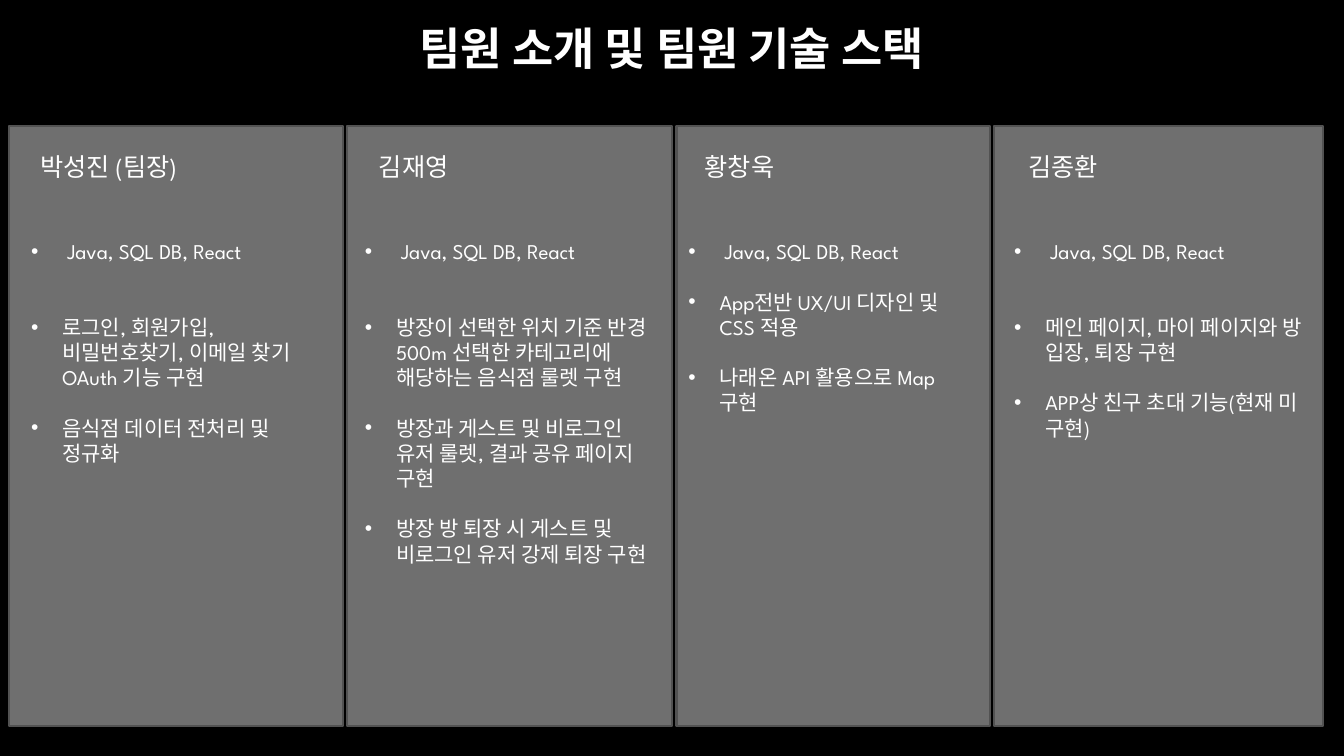
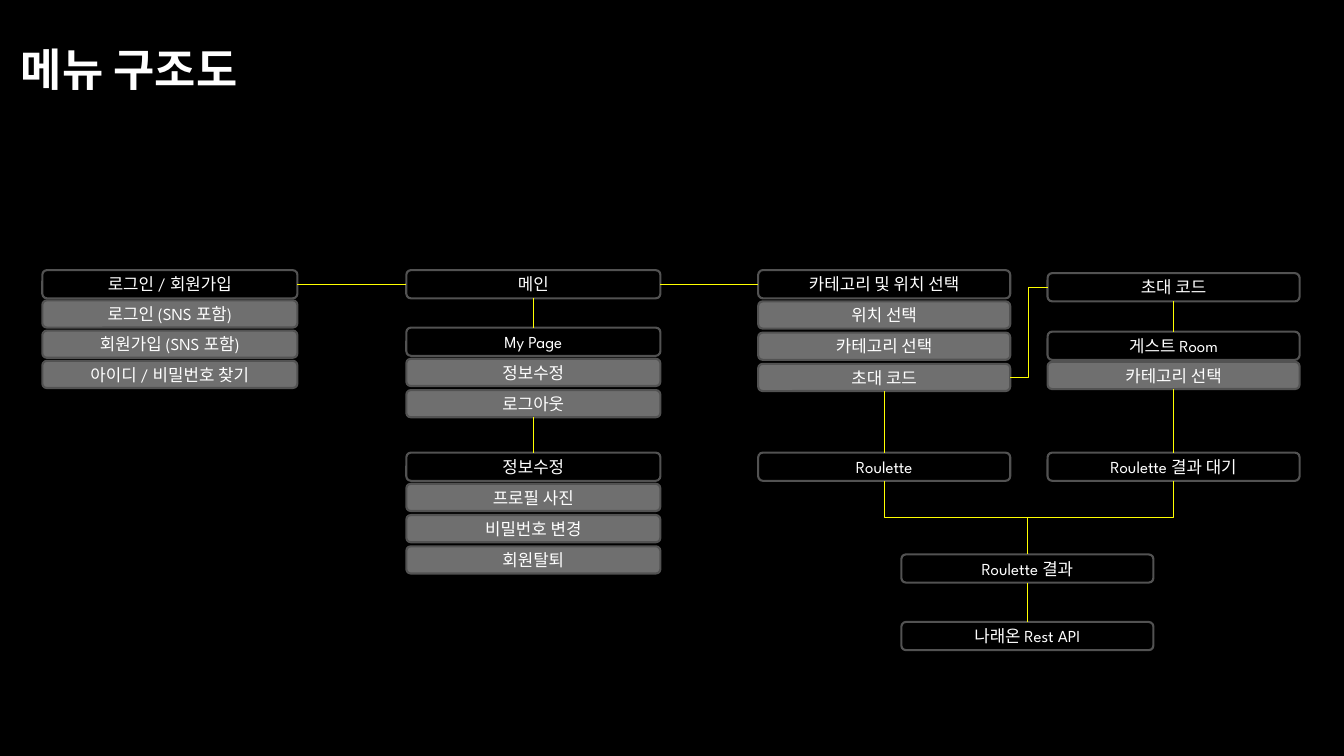
from dataclasses import dataclass

from pptx import Presentation
from pptx import util as u
from pptx.dml.color import RGBColor
from pptx.enum import shapes, text
from pptx.oxml import xmlchemy
from lxml import etree

Inches, Pt = u.Inches, u.Pt

# Shared style
BLACK = RGBColor(0x00, 0x00, 0x00)
WHITE = RGBColor(0xFF, 0xFF, 0xFF)
SILVER = RGBColor(0xA6, 0xA6, 0xA6)
PANEL = RGBColor(0x6F, 0x6F, 0x6F)
BORDER = RGBColor(0x52, 0x52, 0x52)
YELLOW = RGBColor(0xFF, 0xFF, 0x00)
FONT = "League Spartan"
A = "{http://schemas.openxmlformats.org/drawingml/2006/main}"

TOP, LEFT, BOTTOM, RIGHT = range(4)
HEADER_H, ITEM_H = 0.28, 0.27
BLANK_LINE = 18


@dataclass
class Member:
    name: str
    left: float
    width: float
    name_inset: float
    list_inset: float
    first_gap: int
    tasks: tuple


SKILLS = "Java, SQL DB, React"
MEMBERS = (
    Member("박성진 (팀장)", 0.09, 3.31, 0.21, 0.12, 2, (
        "로그인, 회원가입, 비밀번호찾기, 이메일 찾기 OAuth 기능 구현",
        "음식점 데이터 전처리 및 정규화")),
    Member("김재영", 3.44, 3.23, 0.22, 0.08, 2, (
        "방장이 선택한 위치 기준 반경 500m 선택한 카테고리에 해당하는 음식점 룰렛 구현",
        "방장과 게스트 및 비로그인 유저 룰렛, 결과 공유 페이지 구현",
        "방장 방 퇴장 시 게스트 및 비로그인 유저 강제 퇴장 구현")),
    Member("황창욱", 6.71, 3.11, 0.18, 0.02, 1, (
        "App전반 UX/UI 디자인 및 CSS 적용",
        "나래온 API 활용으로 Map 구현")),
    Member("김종환", 9.86, 3.26, 0.24, 0.1, 2, (
        "메인 페이지, 마이 페이지와 방 입장, 퇴장 구현",
        "APP상 친구 초대 기능(현재 미 구현)")),
)


def new_slide(prs):
    slide = prs.slides.add_slide(prs.slide_layouts[6])
    fill = slide.background.fill
    fill.solid()
    fill.fore_color.rgb = BLACK
    return slide


def style_text(paragraph, size):
    for run in paragraph.runs:
        run.font.name = FONT
        run.font.size = Pt(size)
        run.font.color.rgb = WHITE


def add_text(slide, left, top, width, height, words, size):
    frame = slide.shapes.add_textbox(
        Inches(left), Inches(top), Inches(width), Inches(height)).text_frame
    frame.word_wrap = True
    frame.text = words
    style_text(frame.paragraphs[0], size)
    return frame


def add_title(slide, left, top, width, height, words, align):
    frame = add_text(slide, left, top, width, height, words, 32)
    frame.vertical_anchor = text.MSO_ANCHOR.MIDDLE
    paragraph = frame.paragraphs[0]
    paragraph.alignment = align
    font = paragraph.runs[0].font
    font.bold = True
    font.fill.gradient()
    font.fill.gradient_angle = 267
    for stop, color in zip(font.fill.gradient_stops, (WHITE, SILVER)):
        stop.color.rgb = color


def add_panel(slide, kind, left, top, width, height, color):
    panel = slide.shapes.add_shape(
        kind, Inches(left), Inches(top), Inches(width), Inches(height))
    panel.shadow.inherit = False
    panel.fill.solid()
    panel.fill.fore_color.rgb = color
    panel.line.color.rgb = BORDER
    panel.line.width = Pt(1.5)
    return panel


# Team slide
def add_bullet(paragraph, indent):
    props = paragraph._p.get_or_add_pPr()
    props.set("marL", str(Inches(indent)))
    props.set("indent", str(-Inches(indent)))
    etree.SubElement(props, A + "buFont", typeface="Arial")
    etree.SubElement(props, A + "buChar", char="•")


def member_card(slide, member, top=1.25, height=5.95):
    add_panel(slide, shapes.MSO_SHAPE.RECTANGLE,
              member.left, top, member.width, height, PANEL)
    add_text(slide, member.left + member.name_inset, top + 0.2,
             2.78, 0.4, member.name, 18)
    duties = add_text(slide, member.left + member.list_inset, top + 1.07,
                      3.07, 2.6, SKILLS, 15)
    add_bullet(duties.paragraphs[0], 0.36)
    for i, task in enumerate(member.tasks):
        paragraph = duties.add_paragraph()
        paragraph.text = task
        style_text(paragraph, 15)
        blank_lines = member.first_gap if i == 0 else 1
        paragraph.space_before = Pt(BLANK_LINE * blank_lines)
        add_bullet(paragraph, 0.31)


def team_slide(prs):
    slide = new_slide(prs)
    add_title(slide, 1.25, 0.13, 10.83, 0.68,
              "팀원 소개 및 팀원 기술 스택", text.PP_ALIGN.CENTER)
    for member in MEMBERS:
        member_card(slide, member)


# Menu slide
def menu_stack(slide, left, top, width, labels, pitch=0.31):
    """Black header box with grey items below; returns the boxes in order."""
    boxes = []
    for i, label in enumerate(labels):
        color, height = (PANEL, ITEM_H) if i else (BLACK, HEADER_H)
        box = add_panel(slide, shapes.MSO_SHAPE.ROUNDED_RECTANGLE,
                        left, top + i * pitch, width, height, color)
        frame = box.text_frame
        frame.word_wrap = True
        frame.vertical_anchor = text.MSO_ANCHOR.MIDDLE
        frame.text = label
        frame.paragraphs[0].alignment = text.PP_ALIGN.CENTER
        style_text(frame.paragraphs[0], 12)
        boxes.append(box)
    return boxes


def link(slide, start, start_side, end, end_side,
         kind=shapes.MSO_CONNECTOR.STRAIGHT):
    line = slide.shapes.add_connector(kind, 0, 0, 0, 0)
    line.begin_connect(start, start_side)
    line.end_connect(end, end_side)
    line.line.color.rgb = YELLOW
    line.line.width = Pt(0.75)
    etree.SubElement(line._element.spPr, A + "effectLst")
    return line


def drop_link(slide, start, end):
    """Elbow that leaves the bottom of start and enters the top of end."""
    line = link(slide, start, BOTTOM, end, TOP, shapes.MSO_CONNECTOR.ELBOW)
    dx, dy = line.end_x - line.begin_x, line.end_y - line.begin_y
    mid_x = line.begin_x + dx // 2
    mid_y = line.begin_y + dy // 2
    line.left, line.top = mid_x - dy // 2, mid_y - abs(dx) // 2
    line.width, line.height = dy, abs(dx)
    frame = line._element.spPr.find(A + "xfrm")
    frame.set("rot", "16200000" if dx > 0 else "5400000")
    frame.set("flipH", "1" if dx > 0 else "0")


def menu_slide(prs):
    slide = new_slide(prs)
    add_title(slide, 0.11, 0.1, 2.94, 1.17, "메뉴 구조도", text.PP_ALIGN.LEFT)

    # Menu boxes, column by column
    login = menu_stack(slide, 0.42, 2.68, 2.53, (
        "로그인 / 회원가입", "로그인 (SNS 포함)", "회원가입 (SNS 포함)",
        "아이디 / 비밀번호 찾기"), 0.3)
    home = menu_stack(slide, 4.03, 2.68, 2.52, ("메인",))
    my_page = menu_stack(slide, 4.03, 3.25, 2.52,
                         ("My Page", "정보수정", "로그아웃"))
    profile = menu_stack(slide, 4.03, 4.49, 2.52, (
        "정보수정", "프로필 사진", "비밀번호 변경", "회원탈퇴"))
    category = menu_stack(slide, 7.52, 2.68, 2.5, (
        "카테고리 및 위치 선택", "위치 선택", "카테고리 선택", "초대 코드"))
    roulette = menu_stack(slide, 7.52, 4.49, 2.5, ("Roulette",))
    invite = menu_stack(slide, 10.39, 2.71, 2.5, ("초대 코드",))
    guest = menu_stack(slide, 10.39, 3.29, 2.5,
                       ("게스트 Room", "카테고리 선택"), 0.3)
    waiting = menu_stack(slide, 10.39, 4.49, 2.5, ("Roulette 결과 대기",))
    result = menu_stack(slide, 8.94, 5.5, 2.5, ("Roulette 결과",))
    rest_api = menu_stack(slide, 8.94, 6.17, 2.5, ("나래온 Rest API",))

    # Links across, down and around
    for start, end in ((login, home), (home, category)):
        link(slide, start[0], RIGHT, end[0], LEFT)
    for start, end in ((home, my_page), (my_page, profile),
                       (category, roulette), (invite, guest),
                       (guest, waiting), (result, rest_api)):
        link(slide, start[-1], BOTTOM, end[0], TOP)
    link(slide, category[-1], RIGHT, invite[0], LEFT,
         shapes.MSO_CONNECTOR.ELBOW)
    for start in (roulette, waiting):
        drop_link(slide, start[0], result[0])


def main():
    prs = Presentation()
    prs.slide_width, prs.slide_height = Inches(13.33), Inches(7.5)
    team_slide(prs)
    menu_slide(prs)
    prs.save("out.pptx")


if __name__ == "__main__":
    main()
